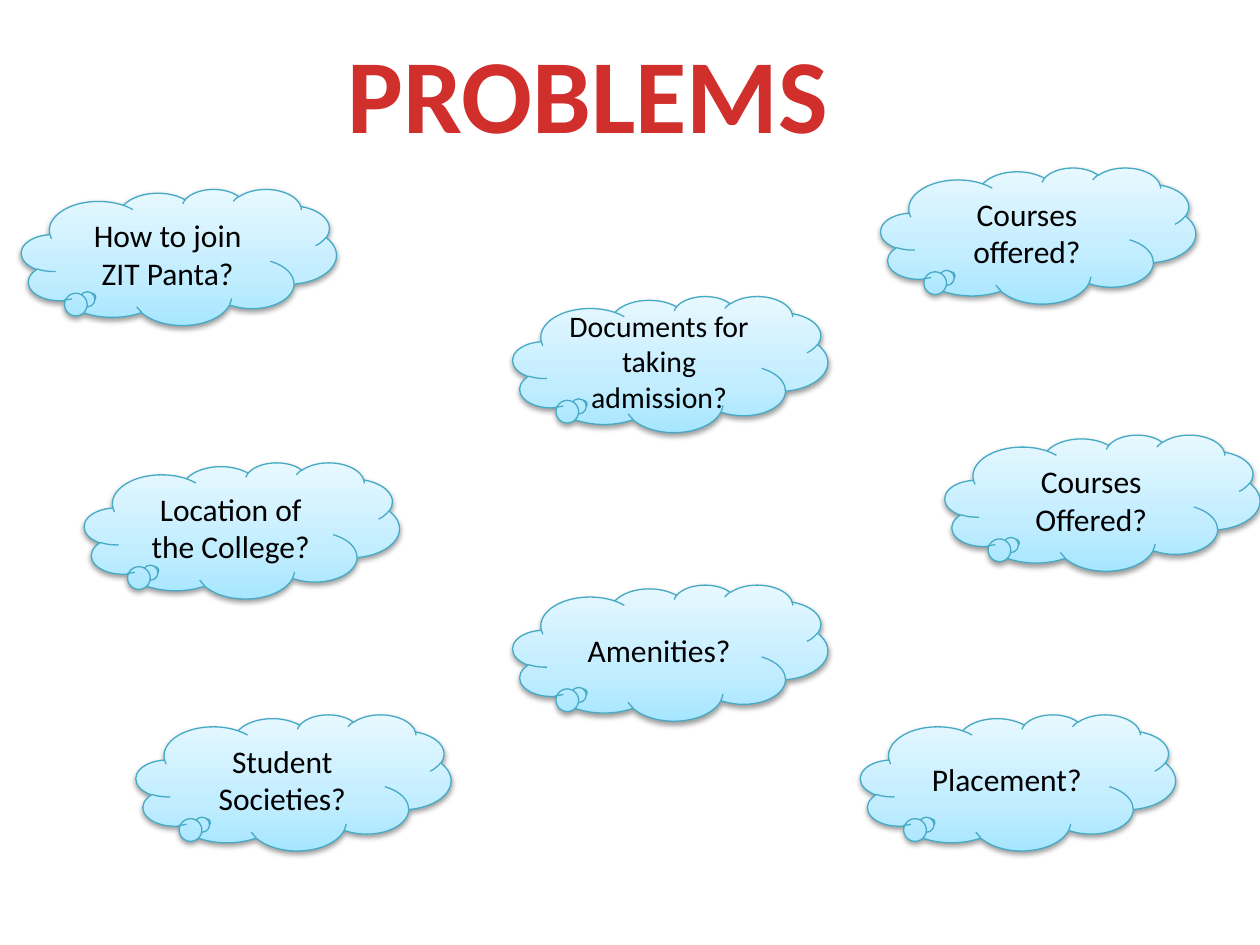
"""Build the PROBLEMS slide: a title above eight cloud callouts."""
from copy import deepcopy

from pptx import Presentation
from pptx.dml.color import RGBColor as RGB
from pptx.enum.shapes import MSO_SHAPE as Shape
from pptx.enum.text import MSO_ANCHOR as Anchor, PP_ALIGN as Align
from pptx.oxml import parse_xml
from pptx.oxml.ns import nsdecls, qn
from pptx.util import Inches, Pt

HUES = {"title": "D02F2C", "line": "46AAC5", "text": "000000",
        "base": "A7E6FF", "mid": "C1EDFF", "top": "E7F8FF"}
STOPS = [(0, "base"), (0.35, "mid"), (1, "top")]
SHADOW = (f'<a:outerShdw {nsdecls("a")} blurRad="{Pt(3.15)}" dist="{Pt(1.57)}" '
          'dir="5400000" rotWithShape="0"><a:srgbClr val="000000">'
          '<a:alpha val="38000"/></a:srgbClr></a:outerShdw>')
CLOUDS = [
    (0.17, 1.5, "How to join ZIT Panta?", 18),
    (6.99, 1.33, "Courses offered?", 18),
    (0.67, 3.67, "Location of the College?", 18),
    (4.07, 2.35, "Documents for taking admission?", 17),
    (4.07, 4.64, "Amenities?", 18),
    (6.83, 5.67, "Placement?", 18),
    (1.08, 5.67, "Student Societies?", 18),
    (7.5, 3.45, "Courses Offered?", 18),
]


def hue(name):
    return RGB.from_string(HUES[name])


def write(frame, text, size, name, bold=False):
    frame.word_wrap = True
    frame.vertical_anchor = Anchor.MIDDLE
    frame.text = text
    para = frame.paragraphs[0]
    para.alignment = Align.CENTER
    font = para.font
    font.name, font.size, font.bold = "Calibri", Pt(size), bold
    font.color.rgb = hue(name)


deck = Presentation()
deck.slide_width, deck.slide_height = Inches(10), Inches(7.5)
slide = deck.slides.add_slide(deck.slide_layouts[5])

title = slide.shapes.title
title.left, title.top = Inches(2), Inches(0.17)
title.width, title.height = Inches(5.33), Inches(1.11)
write(title.text_frame, "PROBLEMS", 60, "title", True)

for left, top, text, size in CLOUDS:
    cloud = slide.shapes.add_shape(Shape.CLOUD_CALLOUT, Inches(left), Inches(top),
                                   Inches(2.5), Inches(1.08))
    cloud.adjustments[0], cloud.adjustments[1] = -0.276, 0.295
    cloud.fill.gradient()
    cloud.fill.gradient_angle = 90
    props = cloud._element.spPr
    marks = props.find(".//" + qn("a:gsLst"))
    marks.append(deepcopy(marks[-1]))
    for stop, (place, name) in zip(cloud.fill.gradient_stops, STOPS):
        stop.position = place
        stop.color.rgb = hue(name)
    cloud.line.color.rgb = hue("line")
    cloud.line.width = Pt(0.75)
    cloud.shadow.inherit = False
    props.find(qn("a:effectLst")).append(parse_xml(SHADOW))
    write(cloud.text_frame, text, size, "text")

deck.save("out.pptx")
